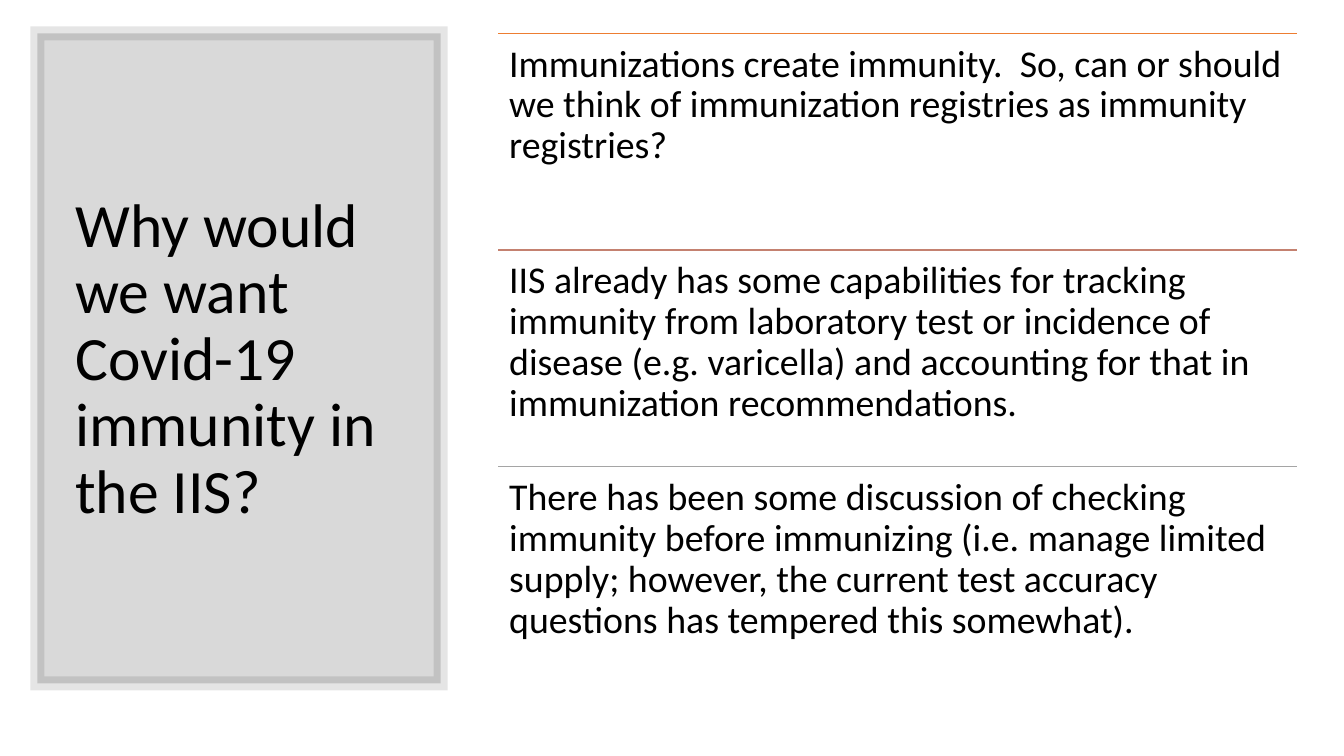
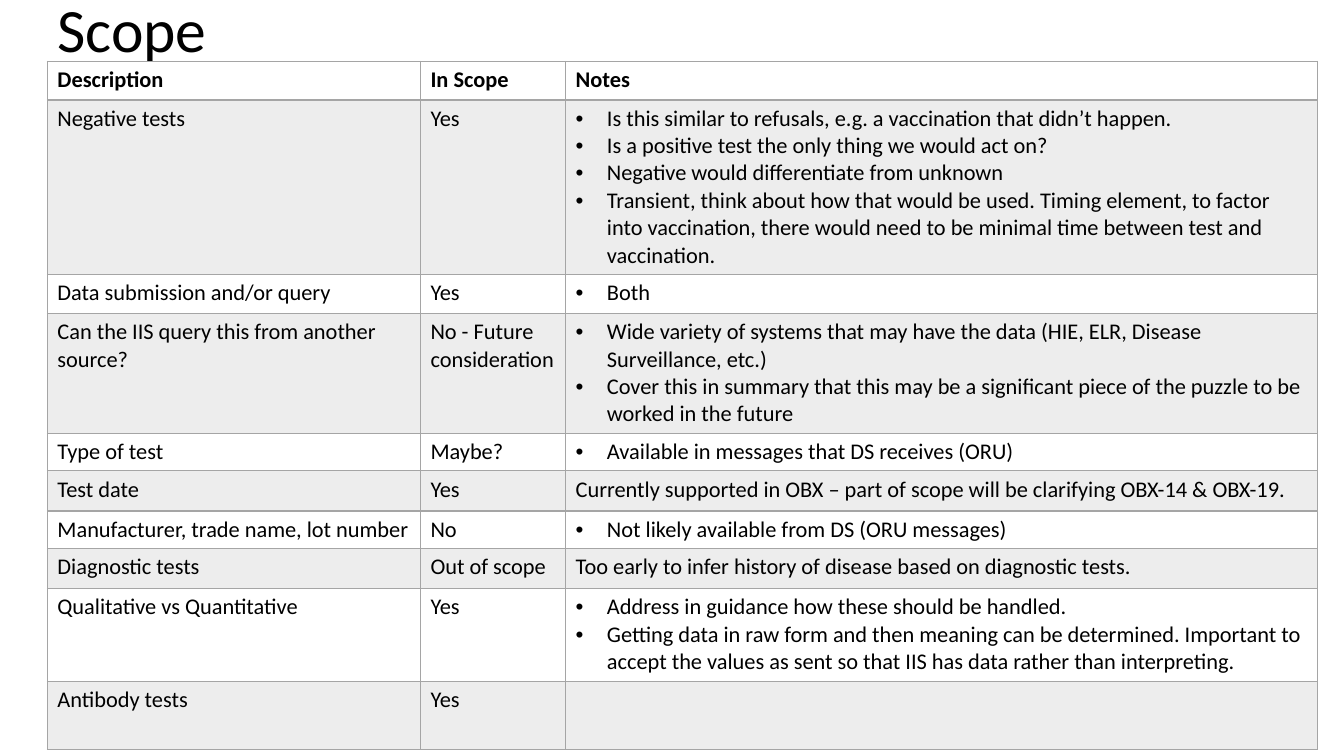
from lxml import etree
from pptx import Presentation
from pptx.dml.color import RGBColor
from pptx.enum.shapes import MSO_CONNECTOR, MSO_SHAPE
from pptx.enum.text import MSO_ANCHOR
from pptx.oxml.ns import qn
from pptx.util import Pt

RECT = MSO_SHAPE.RECTANGLE
LINE = MSO_CONNECTOR.STRAIGHT
TOP = MSO_ANCHOR.TOP
MIDDLE = MSO_ANCHOR.MIDDLE

PX = 9144
FONT = "Calibri"
BLACK = "000000"
GRAY = "A5A5A5"
BAND = "EDEDED"

POINTS = [
    ("ED7D31", "Immunizations create immunity.  So, can or should we think of "
     "immunization registries as immunity registries?"),
    ("C48170", "IIS already has some capabilities for tracking immunity from "
     "laboratory test or incidence of disease (e.g. varicella) and accounting "
     "for that in immunization recommendations."),
    (GRAY, "There has been some discussion of checking immunity before "
     "immunizing (i.e. manage limited supply; however, the current test "
     "accuracy questions has tempered this somewhat)."),
]

WIDTHS = [370, 144, 746]
ROWS = [
    (38, "Description", "In Scope", "Notes"),
    (173, "Negative tests", "Yes", [
        "Is this similar to refusals, e.g. a vaccination that didn’t happen.",
        "Is a positive test the only thing we would act on?",
        "Negative would differentiate from unknown",
        "Transient, think about how that would be used. Timing element, to "
        "factor into vaccination, there would need to be minimal time between "
        "test and vaccination."]),
    (39, "Data submission and/or query", "Yes", ["Both"]),
    (119, "Can the IIS query this from another source?",
     "No - Future consideration", [
         "Wide variety of systems that may have the data (HIE, ELR, Disease "
         "Surveillance, etc.)",
         "Cover this in summary that this may be a significant piece of the "
         "puzzle to be worked in the future"]),
    (37, "Type of test", "Maybe?",
     ["Available in messages that DS receives (ORU)"]),
    (40, "Test date", "Yes",
     "Currently supported in OBX – part of scope will be clarifying "
     "OBX-14 & OBX-19."),
    (37, "Manufacturer, trade name, lot number", "No",
     ["Not likely available from DS (ORU messages)"]),
    (40, "Diagnostic tests", "Out of scope",
     "Too early to infer history of disease based on diagnostic tests."),
    (92, "Qualitative vs Quantitative", "Yes", [
        "Address in guidance how these should be handled.",
        "Getting data in raw form and then meaning can be determined. "
        "Important to accept the values as sent so that IIS has data rather "
        "than interpreting."]),
    (68, "Antibody tests", "Yes", ""),
]


def px(*vals):
    return [val * PX for val in vals]


def rgb(code):
    return RGBColor.from_string(code)


def style(para, size, bold=False):
    for run in para.runs:
        run.font.name = FONT
        run.font.size = Pt(size)
        run.font.bold = bold
        run.font.color.rgb = rgb(BLACK)


def add_text(slide, box, text, size, anchor=TOP, pad=(10, 5)):
    frame = slide.shapes.add_textbox(*px(*box)).text_frame
    frame.word_wrap = True
    frame.vertical_anchor = anchor
    frame.margin_left = frame.margin_right = pad[0] * PX
    frame.margin_top = frame.margin_bottom = pad[1] * PX
    frame.text = text
    para = frame.paragraphs[0]
    para.line_spacing = 0.9
    style(para, size)


def add_title(slide, box, text):
    add_text(slide, box, text, 44, MIDDLE)


def add_panel(slide, box):
    panel = slide.shapes.add_shape(RECT, *px(*box))
    panel.shadow.inherit = False
    panel.fill.solid()
    panel.fill.fore_color.rgb = rgb(BLACK)
    panel.line.color.rgb = rgb(BLACK)
    panel.line.width = Pt(10)
    props = panel._element.spPr
    for color, share in zip(props.iter(qn("a:srgbClr")), (15, 10)):
        etree.SubElement(color, qn("a:alpha"), val=str(share * 1000))
    etree.SubElement(props.find(qn("a:ln")), qn("a:miter"), lim="800000")


def add_rule(slide, left, top, width, color):
    rule = slide.shapes.add_connector(LINE, *px(left, top, left + width, top))
    rule.line.color.rgb = rgb(color)
    rule.line.width = Pt(1)
    etree.SubElement(rule._element.spPr, qn("a:effectLst"))


def add_edge(cell, spot, side, width):
    edge = etree.Element(qn("a:ln" + side), w=str(Pt(width)))
    fill = etree.SubElement(edge, qn("a:solidFill"))
    etree.SubElement(fill, qn("a:srgbClr"), val=GRAY)
    cell._tc.get_or_add_tcPr().insert(spot, edge)


def add_bullet(para):
    props = para._p.get_or_add_pPr()
    props.set("marL", str(31 * PX))
    props.set("indent", str(-31 * PX))
    etree.SubElement(props, qn("a:buFont"), typeface="Arial")
    etree.SubElement(props, qn("a:buChar"), char="•")


def fill_cell(cell, value, row):
    if row % 2:
        cell.fill.solid()
        cell.fill.fore_color.rgb = rgb(BAND)
    else:
        cell.fill.background()
    listed = isinstance(value, list)
    cell.text_frame.text = "\n".join(value) if listed else value
    for para in cell.text_frame.paragraphs:
        style(para, 16, row == 0)
        if listed:
            add_bullet(para)
    for spot, side in enumerate("LRTB"):
        heavy = (row, side) in ((0, "B"), (1, "T"))
        add_edge(cell, spot, side, 2 if heavy else 1)


def add_grid(slide, left, top):
    high = sum(row[0] for row in ROWS)
    box = px(left, top, sum(WIDTHS), high)
    table = slide.shapes.add_table(len(ROWS), len(WIDTHS), *box).table
    table.first_row = table.horz_banding = False
    for col, width in zip(table.columns, WIDTHS):
        col.width = width * PX
    for row, (height, *values) in enumerate(ROWS):
        table.rows[row].height = height * PX
        for col, value in enumerate(values):
            fill_cell(table.cell(row, col), value, row)


def draw_why(slide):
    add_panel(slide, (37, 33, 400, 645))
    add_title(slide, (65, 70, 346, 575),
              "Why would we want Covid-19 immunity in the IIS?")
    left, top, width, step = 494, 33, 792, 215
    for i, (color, text) in enumerate(POINTS):
        y = top + i * step
        add_rule(slide, left, y, width, color)
        add_text(slide, (left, y, width, step), text, 27, pad=(11, 11))


def draw_scope(slide):
    add_title(slide, (47, -40, 1150, 145), "Scope")
    add_grid(slide, 47, 61)


def main():
    deck = Presentation()
    deck.slide_width, deck.slide_height = px(1333, 750)
    for draw in (draw_why, draw_scope):
        draw(deck.slides.add_slide(deck.slide_layouts[6]))
    deck.save("out.pptx")


if __name__ == "__main__":
    main()
